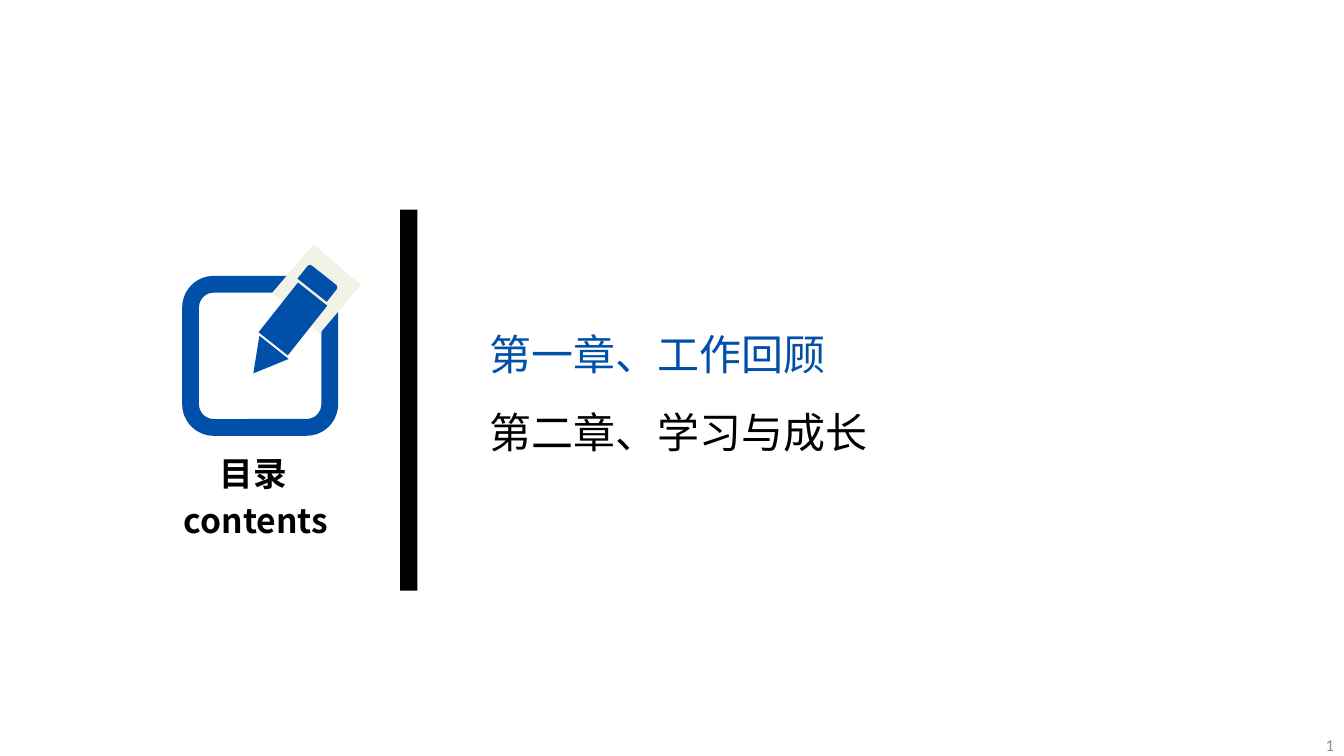
import pptx
import pptx.util
import pptx.dml.color
import pptx.enum.shapes
import pptx.enum.text
from dataclasses import dataclass

Inches = pptx.util.Inches
SHAPE = pptx.enum.shapes.MSO_SHAPE
ALIGN = pptx.enum.text.PP_ALIGN


@dataclass(frozen=True)
class Theme:
    blue: str = "004FA8"
    cream: str = "F2F2E6"
    black: str = "000000"
    grey: str = "8C8C8C"
    font: str = "Noto Sans CJK SC"
    number_font: str = "Calibri"
    chapter_size: int = 30
    title_size: int = 24
    number_size: int = 12


def rgb(value):
    return pptx.dml.color.RGBColor.from_string(value)


def write(tf, text, *, size, color, font, bold=False, align=ALIGN.LEFT):
    """Put one formatted run into a text frame."""
    p = tf.paragraphs[0]
    p.alignment = align
    r = p.add_run()
    r.text = text
    r.font.size = pptx.util.Pt(size)
    r.font.name = font
    r.font.bold = bold
    r.font.color.rgb = rgb(color)
    # East Asian characters take their own typeface
    ea = pptx.oxml.parse_xml(
        '<a:ea xmlns:a="http://schemas.openxmlformats.org/drawingml/2006/main"'
        f' typeface="{font}"/>')
    r.font.fill  # the fill stays ahead of the typefaces
    r.font._element.find(pptx.oxml.ns.qn("a:latin")).addnext(ea)


class Builder:
    def __init__(self, slide, theme):
        self.slide = slide
        self.theme = theme

    def shape(self, kind, box, *, fill=None, line=None, width=0, rotation=0):
        sp = self.slide.shapes.add_shape(kind, *map(Inches, box))
        sp.shadow.inherit = False
        sp.rotation = rotation
        if fill:
            sp.fill.solid()
            sp.fill.fore_color.rgb = rgb(fill)
        else:
            sp.fill.background()
        if line:
            sp.line.color.rgb = rgb(line)
            sp.line.width = pptx.util.Pt(width)
        else:
            sp.line.fill.background()
        return sp

    def text(self, text, box, **style):
        sp = self.slide.shapes.add_textbox(*map(Inches, box))
        tf = sp.text_frame
        tf.word_wrap = True
        tf.margin_top = tf.margin_bottom = 0
        tf.vertical_anchor = pptx.enum.text.MSO_ANCHOR.MIDDLE
        write(tf, text, **{"font": self.theme.font, **style})
        return sp


def main():
    prs = pptx.Presentation()
    prs.slide_width = Inches(13.33)
    prs.slide_height = Inches(7.5)
    t = Theme()
    s = Builder(prs.slides.add_slide(prs.slide_layouts[6]), t)

    # Notepad and pencil icon
    tilt = 38.4
    s.shape(SHAPE.ROUNDED_RECTANGLE, (1.89, 2.82, 1.38, 1.42),
            line=t.blue, width=12)
    s.shape(SHAPE.RECTANGLE, (2.83, 2.55, 0.62, 0.63),
            fill=t.cream, rotation=40.3)
    pencil = [
        (SHAPE.ROUND_2_SAME_RECTANGLE, (2.97, 2.71, 0.37, 0.19), tilt),
        (SHAPE.RECTANGLE, (2.72, 2.85, 0.37, 0.63), tilt),
        (SHAPE.ISOSCELES_TRIANGLE, (2.43, 3.41, 0.37, 0.33), tilt + 180),
    ]
    for kind, box, rotation in pencil:
        s.shape(kind, box, fill=t.blue, rotation=rotation)

    # Title under the icon
    for text, box in [("目录", (1.82, 4.44, 1.38, 0.5)),
                      ("contents", (1.55, 4.91, 1.98, 0.5))]:
        s.text(text, box, size=t.title_size, color=t.black, bold=True,
               align=ALIGN.CENTER)

    # Divider
    s.shape(SHAPE.RECTANGLE, (3.97, 2.08, 0.17, 3.78), fill=t.black)

    # Chapters, the current one in blue
    chapters = [("第一章、工作回顾", t.blue), ("第二章、学习与成长", t.black)]
    for i, (text, color) in enumerate(chapters):
        s.text(text, (4.76, 3.21 + 0.77 * i, 7.17, 0.6),
               size=t.chapter_size, color=color)

    # Page number
    s.text("1", (12.49, 7.28, 0.84, 0.22), size=t.number_size, color=t.grey,
           font=t.number_font, align=ALIGN.RIGHT)

    prs.save("out.pptx")


if __name__ == "__main__":
    main()
